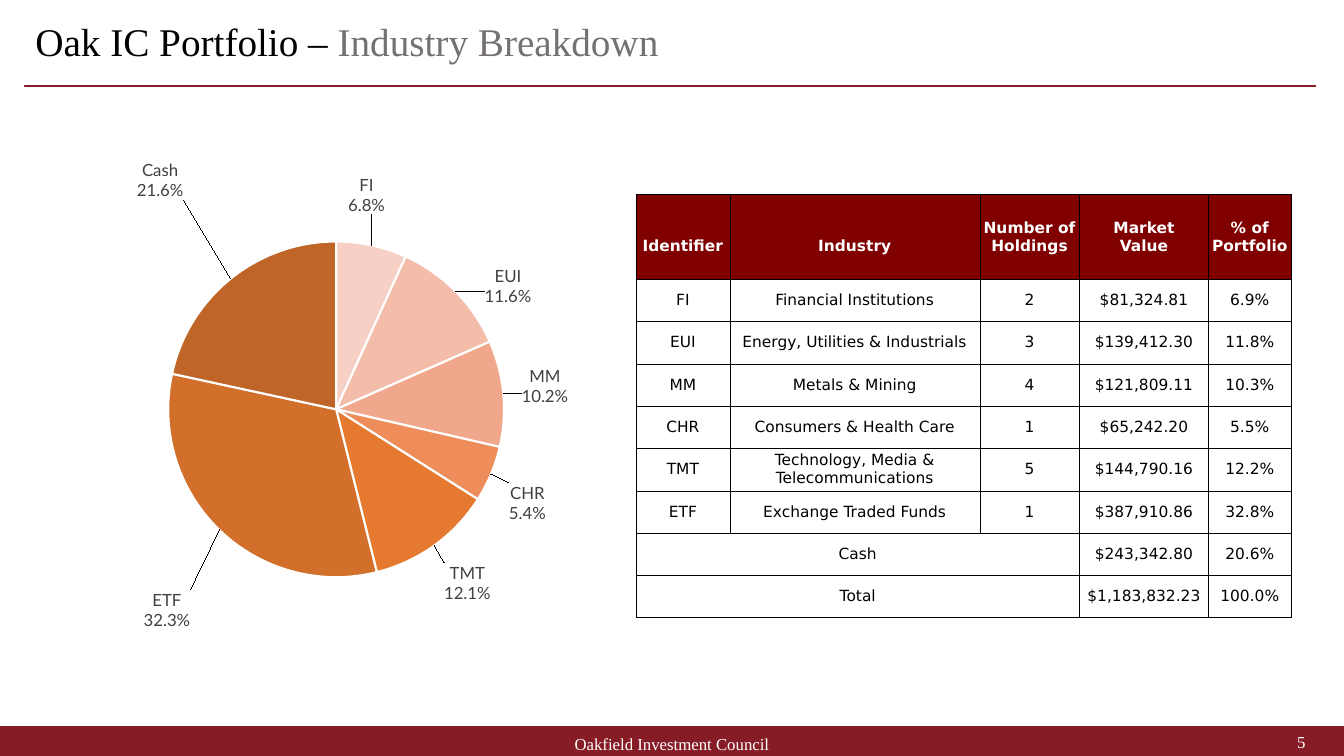
from dataclasses import dataclass

from lxml import etree
from pptx import Presentation
from pptx.chart.data import CategoryChartData
from pptx.dml.color import RGBColor
from pptx.enum.chart import XL_CHART_TYPE, XL_LABEL_POSITION
from pptx.enum.shapes import MSO_SHAPE
from pptx.enum.text import MSO_ANCHOR, PP_ALIGN
from pptx.oxml import parse_xml
from pptx.oxml.ns import nsdecls, qn
from pptx.util import Inches, Pt

LEFT, CENTER, RIGHT = PP_ALIGN.LEFT, PP_ALIGN.CENTER, PP_ALIGN.RIGHT
MIDDLE = MSO_ANCHOR.MIDDLE
RECTANGLE = MSO_SHAPE.RECTANGLE
PIE = XL_CHART_TYPE.PIE
OUTSIDE_END = XL_LABEL_POSITION.OUTSIDE_END
TITLE_ONLY = 5
GRID_COLUMNS, GRID_ROWS = 40, 30


@dataclass(frozen=True)
class Theme:
    serif: str = "Times New Roman"
    table_font: str = "DejaVu Sans"
    chart_font: str = "Lato"
    maroon: str = "861C26"
    header: str = "800000"
    black: str = "000000"
    gray: str = "767171"
    label: str = "404040"
    white: str = "FFFFFF"
    title_size: float = 28
    body_size: float = 12
    table_size: float = 11


def style_font(font, name, size, color, bold=False):
    font.name, font.size, font.bold = name, Pt(size), bold
    font.color.rgb = RGBColor.from_string(color)


class SlideBuilder:
    """Draws on one slide; lengths are columns and rows of the grid."""

    def __init__(self, presentation, theme):
        self.theme = theme
        self.column = presentation.slide_width / GRID_COLUMNS
        self.row = presentation.slide_height / GRID_ROWS
        self.slide = presentation.slides.add_slide(presentation.slide_layouts[TITLE_ONLY])

    def box(self, left, top, width, height):
        return (int(left * self.column), int(top * self.row),
                int(width * self.column), int(height * self.row))

    def title(self, area, parts):
        shape = self.slide.shapes.title
        shape.left, shape.top, shape.width, shape.height = self.box(*area)
        shape.text_frame.vertical_anchor = MIDDLE
        paragraph = shape.text_frame.paragraphs[0]
        paragraph.alignment, paragraph.line_spacing = LEFT, 0.9
        for text, color in parts:
            run = paragraph.add_run()
            run.text = text
            style_font(run.font, self.theme.serif, self.theme.title_size, color)

    def bar(self, area):
        shape = self.slide.shapes.add_shape(RECTANGLE, *self.box(*area))
        shape.shadow.inherit = False
        color = RGBColor.from_string(self.theme.maroon)
        shape.fill.solid()
        shape.fill.fore_color.rgb = color
        shape.line.color.rgb = color
        shape.line.width = Pt(1)

    def text(self, area, text, alignment):
        frame = self.slide.shapes.add_textbox(*self.box(*area)).text_frame
        frame.word_wrap = True
        frame.vertical_anchor = MIDDLE
        frame.text = text
        paragraph = frame.paragraphs[0]
        paragraph.alignment = alignment
        style_font(paragraph.runs[0].font, self.theme.serif, self.theme.body_size, self.theme.white)

    def cell(self, cell, text, is_header):
        theme = self.theme
        cell.margin_left = cell.margin_right = cell.margin_top = cell.margin_bottom = 0
        cell.vertical_anchor = MIDDLE
        cell.text = text
        if is_header and "\n" not in text:
            cell.margin_top = Inches(0.18)  # lines up with the second header line
        for paragraph in cell.text_frame.paragraphs:
            paragraph.alignment = CENTER
            for run in paragraph.runs:
                style_font(run.font, theme.table_font, theme.table_size,
                           theme.white if is_header else theme.black, is_header)
        properties = cell._tc.get_or_add_tcPr()
        for side in ("lnL", "lnR", "lnT", "lnB"):
            line = etree.SubElement(properties, qn(f"a:{side}"), w=str(Pt(0.25)))
            fill = etree.SubElement(line, qn("a:solidFill"))
            etree.SubElement(fill, qn("a:srgbClr"), val=theme.black)
        cell.fill.solid()
        cell.fill.fore_color.rgb = RGBColor.from_string(theme.header if is_header else theme.white)

    def table(self, left, top, widths, heights, rows, merged_rows):
        area = self.box(left, top, sum(widths), sum(heights))
        table = self.slide.shapes.add_table(len(rows), len(widths), *area).table
        for column, width in zip(table.columns, widths):
            column.width = int(width * self.column)
        for row, height in zip(table.rows, heights):
            row.height = int(height * self.row)
        for row_index, values in enumerate(rows):
            for column_index, value in enumerate(values):
                self.cell(table.cell(row_index, column_index), value, row_index == 0)
        for row_index in merged_rows:
            table.cell(row_index, 0).merge(table.cell(row_index, 2))

    def pie(self, area, plot, slices):
        theme = self.theme
        data = CategoryChartData(number_format="0.0%")
        data.categories = [name for name, *_ in slices]
        data.add_series("Series 1", [value for _, value, *_ in slices])
        chart = self.slide.shapes.add_chart(PIE, *self.box(*area), data).chart
        chart.has_legend = chart.has_title = False
        style_font(chart.font, theme.chart_font, 10, theme.black)
        chart.plots[0].vary_by_categories = False
        plot_area = chart._chartSpace.chart.plotArea
        for layout in plot_area.findall(qn("c:layout")):
            plot_area.remove(layout)
        plot_area.insert(0, self.layout(*plot, inner=True))

        series = chart.plots[0].series[0]
        labels = series.data_labels
        labels.number_format, labels.number_format_is_linked = "0.0%", False
        labels.show_value = labels.show_category_name = True
        labels.position = OUTSIDE_END
        style_font(labels.font, theme.chart_font, theme.body_size, theme.label)
        for index, (_, _, color, offset) in enumerate(slices):
            point = series.points[index]
            point.format.fill.solid()
            point.format.fill.fore_color.rgb = RGBColor.from_string(color)
            point.format.line.color.rgb = RGBColor.from_string(theme.white)
            point.format.line.width = Pt(1.5)
            point.data_label.position = OUTSIDE_END
            style_font(point.data_label.font, theme.chart_font, theme.body_size, theme.label)
        # Label offsets, line breaks and leader lines
        for label, (_, _, _, offset) in zip(labels._element.findall(qn("c:dLbl")), slices):
            label.insert(1, self.layout(*offset))
            label.insert(2, parse_xml(
                f'<c:numFmt {nsdecls("c")} formatCode="0.0%" sourceLinked="0"/>'))
            label.find(qn("c:showCatName")).set("val", "1")
            self.separator(label)
        self.separator(labels._element)
        for leader in labels._element.findall(qn("c:showLeaderLines")):
            labels._element.remove(leader)
        etree.SubElement(labels._element, qn("c:showLeaderLines"), val="1")

    @staticmethod
    def separator(label):
        separator = etree.Element(qn("c:separator"))
        separator.text = "\n"
        anchors = [label.find(qn(f"c:{name}")) for name in ("showBubbleSize", "showPercent")]
        next(anchor for anchor in anchors if anchor is not None).addnext(separator)

    @staticmethod
    def layout(x, y, width=None, height=None, inner=False):
        layout = etree.Element(qn("c:layout"))
        manual = etree.SubElement(layout, qn("c:manualLayout"))
        entries = [("x", x), ("y", y)]
        if inner:
            entries = [("layoutTarget", "inner"), ("xMode", "edge"), ("yMode", "edge"),
                       *entries, ("w", width), ("h", height)]
        for name, value in entries:
            etree.SubElement(manual, qn(f"c:{name}"), val=str(value))
        return layout


def main():
    presentation = Presentation()
    presentation.slide_width, presentation.slide_height = Inches(13.33), Inches(7.5)
    theme = Theme()
    builder = SlideBuilder(presentation, theme)

    # Heading and footer
    builder.bar((0, 28.84, 40, 1.32))
    builder.bar((0.75, 3.4, 38.4, 0.04))
    builder.title((0.75, 0.76, 38.4, 1.92),
                  [("Oak IC Portfolio – ", theme.black), ("Industry Breakdown", theme.gray)])
    builder.text((13.25, 29.12, 13.5, 0.8), "Oakfield Investment Council", CENTER)
    builder.text((30.15, 29.04, 9, 0.8), "5", RIGHT)

    # Holdings table
    rows = [
        ("Identifier", "Industry", "Number of\nHoldings", "Market\nValue", "% of\nPortfolio"),
        ("FI", "Financial Institutions", "2", "$81,324.81", "6.9%"),
        ("EUI", "Energy, Utilities & Industrials", "3", "$139,412.30", "11.8%"),
        ("MM", "Metals & Mining", "4", "$121,809.11", "10.3%"),
        ("CHR", "Consumers & Health Care", "1", "$65,242.20", "5.5%"),
        ("TMT", "Technology, Media & Telecommunications", "5", "$144,790.16", "12.2%"),
        ("ETF", "Exchange Traded Funds", "1", "$387,910.86", "32.8%"),
        ("Cash", "", "", "$243,342.80", "20.6%"),
        ("Total", "", "", "$1,183,832.23", "100.0%"),
    ]
    builder.table(18.93, 7.72, [2.79, 7.44, 2.97, 3.84, 2.46], [3.36] + [1.68] * 8, rows, (7, 8))

    # Industry pie: name, share, colour, label offset
    builder.pie((0.75, 3.64, 18.51, 24.48), (0.23, 0.14, 0.54, 0.75), [
        ("FI", 0.068, "F7D0C5", (-0.04, -0.04)),
        ("EUI", 0.116, "F4BDAA", (0.04, 0.03)),
        ("MM", 0.102, "F1A78B", (0.02, 0.02)),
        ("CHR", 0.054, "EE8C5A", (0.02, 0.01)),
        ("TMT", 0.121, "E5792F", (0.01, 0.02)),
        ("ETF", 0.323, "D26F2B", (-0.04, 0.09)),
        ("Cash", 0.216, "BF6528", (-0.07, -0.12)),
    ])
    presentation.save("out.pptx")


if __name__ == "__main__":
    main()
